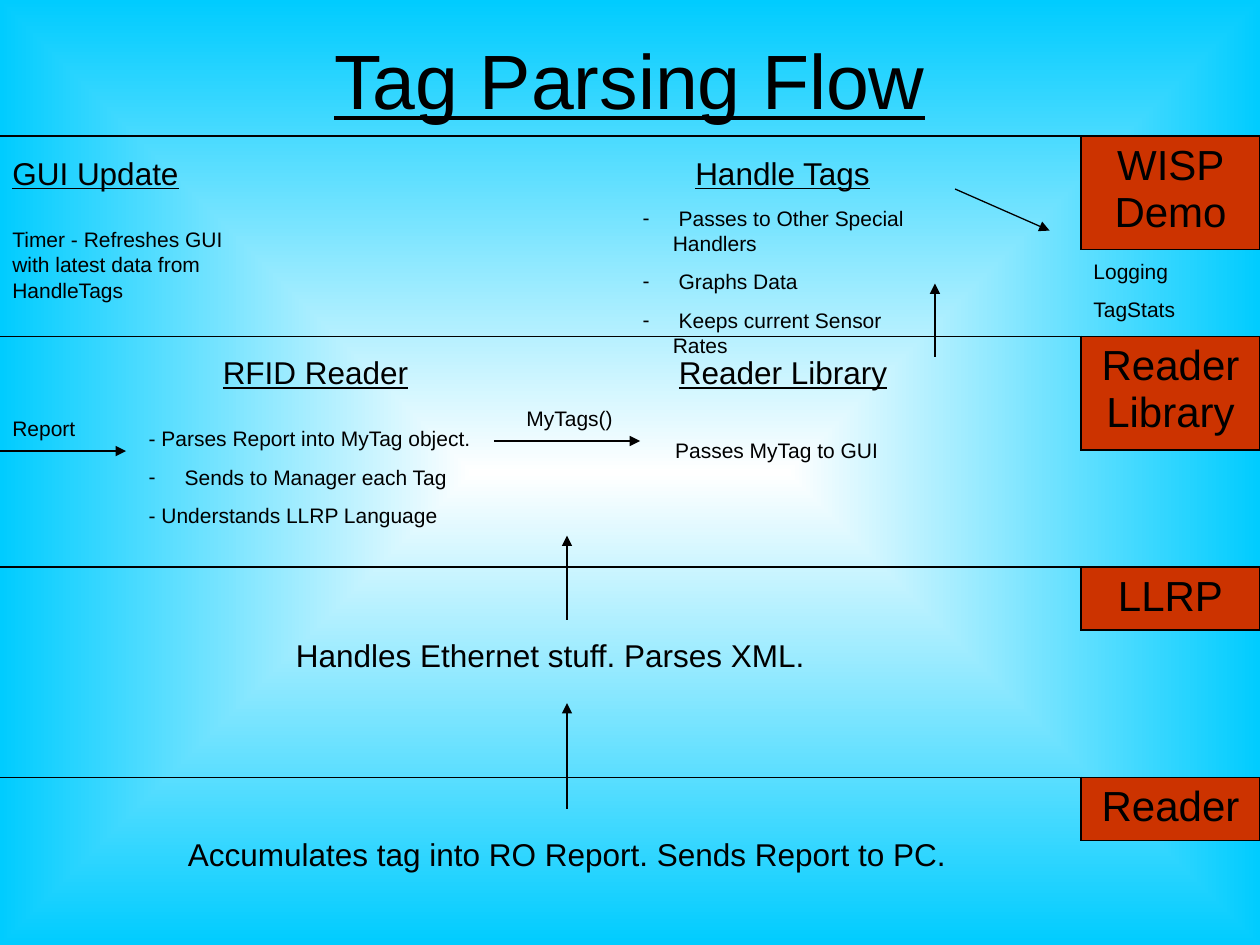
import pptx
import pptx.util
import pptx.dml.color
import pptx.enum.text
import pptx.enum.shapes
import pptx.oxml.ns
import lxml.etree

Inches = pptx.util.Inches
Pt = pptx.util.Pt
ALIGN = pptx.enum.text.PP_ALIGN
FIT = pptx.enum.text.MSO_AUTO_SIZE
STRAIGHT = pptx.enum.shapes.MSO_CONNECTOR.STRAIGHT
BLACK, RED, WHITE, CYAN = "000000", "CC3300", "FFFFFF", "00CCFF"


def color(text):
    return pptx.dml.color.RGBColor.from_string(text)


def write(frame, lines, size, align=ALIGN.LEFT, gap=7.5, **extra):
    """Fill a text frame; a line starting with a space gets a dash bullet."""
    font_format = {"size": Pt(size), "name": "Arial", **extra}
    for number, line in enumerate(lines):
        para = frame.add_paragraph() if number else frame.paragraphs[0]
        bulleted = line.startswith(" ")
        props = para._p.get_or_add_pPr()
        props.set("marL", str(Inches(0.24) if bulleted else 0))
        props.set("indent", str(-Inches(0.24) if bulleted else 0))
        if bulleted:
            tint = add_xml(props, "a:buClr")
            add_xml(tint, "a:srgbClr", val=BLACK)
            add_xml(props, "a:buChar", char="-")
        else:
            add_xml(props, "a:buNone")
        para.alignment = align
        para.space_before = Pt(gap if number else 0)
        span = para.add_run()
        span.text = line
        span.font.color.rgb = color(BLACK)
        for name, value in font_format.items():
            setattr(span.font, name, value)


add_xml = lambda parent, tag, **values: lxml.etree.SubElement(
    parent, pptx.oxml.ns.qn(tag), values)

deck = pptx.Presentation()
deck.slide_width, deck.slide_height = Inches(10), Inches(7.5)
page = deck.slides.add_slide(deck.slide_layouts[3])

# Background: white centre fading to cyan edges
fill = page.background.fill
fill.gradient()
for stop, position, tint in zip(fill.gradient_stops, (0, 1), (WHITE, CYAN)):
    stop.position = position
    stop.color.rgb = color(tint)
gradient = fill._fill._gradFill
gradient.remove(gradient.find(pptx.oxml.ns.qn("a:lin")))
shade = add_xml(gradient, "a:path", path="rect")
add_xml(shade, "a:fillToRect", l="50000", t="50000", r="50000", b="50000")

# Title and the two lists
title, parse_list, handle_list = page.placeholders
for box, place, lines, size in (
    (title, (0.5, 0, 9, 1.25), ["Tag Parsing Flow"], 44),
    (parse_list, (1.08, 3.33, 2.83, 0.91),
     ["- Parses Report into MyTag object.", " Sends to Manager each Tag",
      "- Understands LLRP Language"], 12),
    (handle_list, (5, 1.58, 2.58, 1.11),
     [" Passes to Other Special Handlers", " Graphs Data",
      " Keeps current Sensor Rates"], 12),
):
    box.left, box.top, box.width, box.height = map(Inches, place)
    is_title = box is title
    box.text_frame.auto_size = FIT.NONE if is_title else FIT.SHAPE_TO_FIT_TEXT
    write(box.text_frame, lines, size,
          ALIGN.CENTER if is_title else ALIGN.LEFT, underline=is_title)

# Layers: a dividing line and a red label for each
for top, height, label in (
    (1.08, 0.9, "WISP Demo"), (2.67, 0.9, "Reader Library"),
    (4.5, 0.5, "LLRP"), (6.17, 0.5, "Reader"),
):
    divider = page.shapes.add_connector(
        STRAIGHT, Inches(0), Inches(top), Inches(10), Inches(top))
    divider.line.color.rgb = color(BLACK)
    divider.line.width = Pt(0.75)
    add_xml(divider._element.spPr, "a:effectLst")

    table = page.shapes.add_table(
        1, 1, Inches(8.58), Inches(top), Inches(1.42), Inches(height)).table
    table.first_row = table.horz_banding = False
    cell = table.cell(0, 0)
    write(cell.text_frame, [label], 24, ALIGN.CENTER)
    props = cell._tc.get_or_add_tcPr()
    for side in "LRTB":
        border = add_xml(props, "a:ln" + side, w=str(Pt(1.08)))
        add_xml(add_xml(border, "a:solidFill"), "a:srgbClr", val=BLACK)
    cell.fill.solid()
    cell.fill.fore_color.rgb = color(RED)

# Headings and notes
left, center = ALIGN.LEFT, ALIGN.CENTER
for place, lines, size, align, underline in (
    ((0, 1.17, 1.83, 0.4), ["GUI Update"], 18, left, True),
    ((5.42, 1.17, 1.67, 0.4), ["Handle Tags"], 18, left, True),
    ((1.67, 2.75, 1.67, 0.4), ["RFID Reader"], 18, left, True),
    ((5.17, 2.75, 2.09, 0.4), ["Reader Library"], 18, center, True),
    ((2.25, 5, 5.83, 0.4),
     ["Handles Ethernet stuff. Parses XML."], 18, left, False),
    ((1.25, 6.58, 6.5, 0.4),
     ["Accumulates tag into RO Report. Sends Report to PC."], 18, center, False),
    ((0, 1.75, 2, 0.7),
     ["Timer - Refreshes GUI with latest data from HandleTags"], 12, left, False),
    ((5, 3.42, 2.33, 0.3), ["Passes MyTag to GUI"], 12, center, False),
    ((0, 3.25, 0.83, 0.3), ["Report"], 12, left, False),
    ((4.08, 3.17, 0.92, 0.3), ["MyTags()"], 12, left, False),
    ((8.58, 2, 1.42, 0.61), ["Logging", "TagStats"], 12, left, False),
):
    box = page.shapes.add_textbox(*map(Inches, place))
    box.text_frame.word_wrap = lines != ["RFID Reader"]
    box.text_frame.auto_size = FIT.SHAPE_TO_FIT_TEXT
    write(box.text_frame, lines, size, align, underline=underline)

# Flow arrows
for ends in (
    (4.5, 6.42, 4.5, 5.58), (4.5, 4.92, 4.5, 4.25), (0, 3.58, 1, 3.58),
    (3.92, 3.5, 5.08, 3.5), (7.42, 2.83, 7.42, 2.25), (7.58, 1.5, 8.33, 1.83),
):
    arrow = page.shapes.add_connector(STRAIGHT, *map(Inches, ends))
    arrow.line.color.rgb = color(BLACK)
    arrow.line.width = Pt(0.75)
    add_xml(arrow.line._get_or_add_ln(), "a:tailEnd", type="triangle")
    add_xml(arrow._element.spPr, "a:effectLst")

deck.save("out.pptx")
